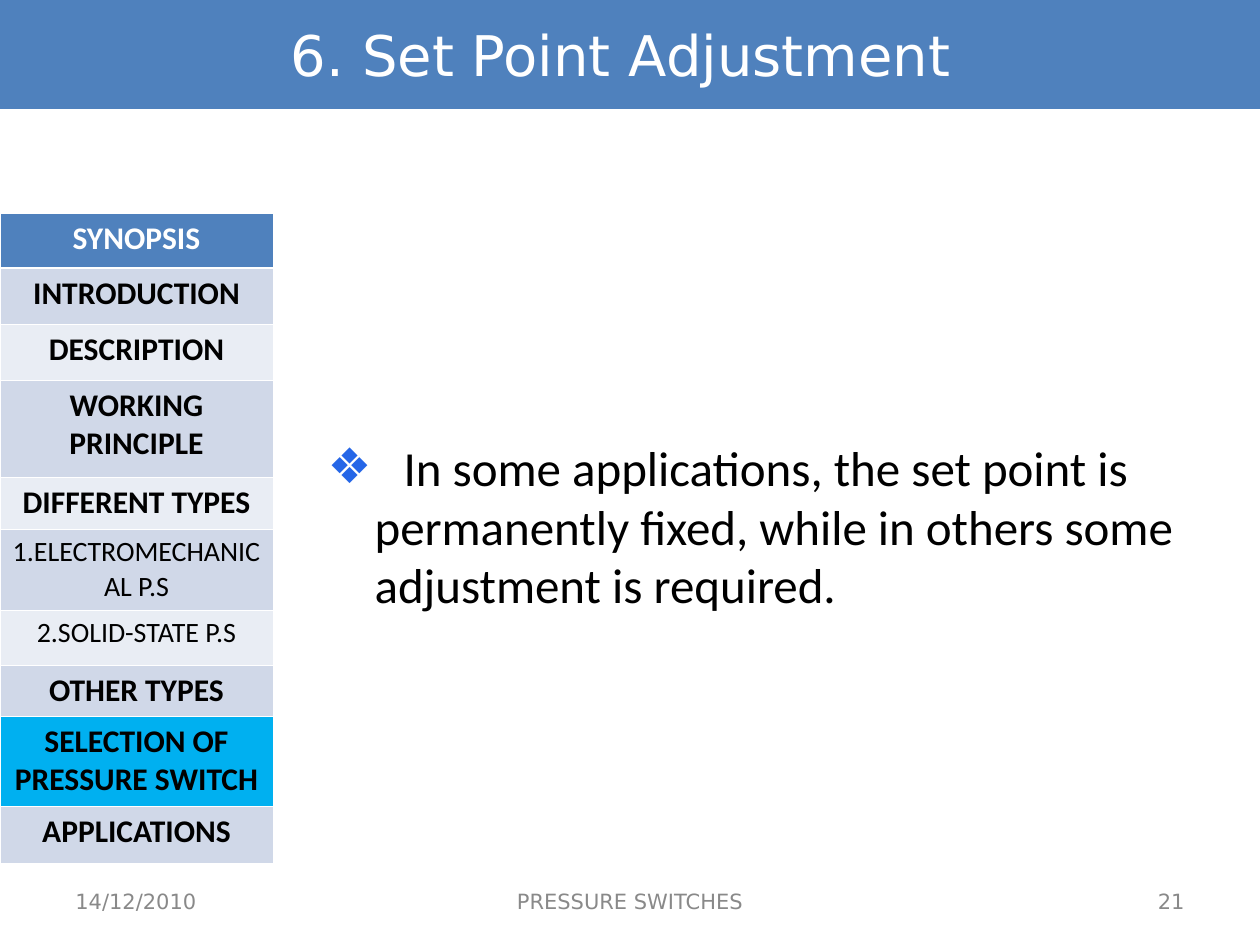
from lxml.etree import SubElement
from pptx import Presentation
from pptx.dml.color import RGBColor
from pptx.enum.text import MSO_ANCHOR as ANCHOR, MSO_AUTO_SIZE as AUTO_SIZE, PP_ALIGN as ALIGN
from pptx.oxml.ns import qn
from pptx.util import Emu, Pt

PX = 914400 / 126
BLUE = RGBColor(0x4F, 0x81, 0xBD)
BAND_DARK = RGBColor(0xD0, 0xD8, 0xE8)
BAND_LIGHT = RGBColor(0xE9, 0xED, 0xF4)
CURRENT = RGBColor(0x00, 0xB0, 0xF0)
BULLET = RGBColor(0x25, 0x66, 0xE7)
GREY = RGBColor(0x89, 0x89, 0x89)
BLACK = RGBColor(0, 0, 0)
WHITE = RGBColor(255, 255, 255)

HEADING = dict(name="DejaVu Sans", size=Pt(32), bold=False, color=WHITE)
BODY = dict(name="Calibri", size=Pt(28), bold=False, color=BLACK)
FOOTER = dict(name="DejaVu Sans", size=Pt(12), bold=False, color=GREY)
TOPIC = dict(name="Calibri", size=Pt(18), bold=True, color=BLACK)
SUBTOPIC = {**TOPIC, "size": Pt(16), "bold": False}
MENU_HEAD = {**TOPIC, "color": WHITE}

# Menu rows: text, height in px, format
MENU = [
    ("SYNOPSIS", 55, MENU_HEAD),
    ("INTRODUCTION", 56, TOPIC),
    ("DESCRIPTION", 56, TOPIC),
    ("WORKING PRINCIPLE", 97, TOPIC),
    ("DIFFERENT TYPES", 52, TOPIC),
    ("1.ELECTROMECHANICAL P.S", 81, SUBTOPIC),
    ("2.SOLID-STATE P.S", 55, SUBTOPIC),
    ("OTHER TYPES", 51, TOPIC),
    ("SELECTION OF PRESSURE SWITCH", 90, TOPIC),
    ("APPLICATIONS", 57, TOPIC),
]
CURRENT_ROW = 8


def px(n):
    return Emu(round(n * PX))


def write(tf, text, fmt, align=ALIGN.LEFT):
    p = tf.paragraphs[0]
    p.alignment = align
    r = p.add_run()
    r.text = text
    for key, value in fmt.items():
        if key == "color":
            r.font.color.rgb = value
        else:
            setattr(r.font, key, value)
    return p


def place(sp, box, anchor):
    sp.left, sp.top, sp.width, sp.height = map(px, box)
    tf = sp.text_frame
    tf.word_wrap = True
    tf.auto_size = AUTO_SIZE.NONE
    tf.vertical_anchor = anchor
    return tf


def add_title(slide, box):
    sp = slide.shapes.title
    sp.fill.solid()
    sp.fill.fore_color.rgb = BLUE
    write(place(sp, box, ANCHOR.MIDDLE), "6. Set Point Adjustment ", HEADING, ALIGN.CENTER)


def add_body(slide, box):
    """Fill the body with one bullet whose first line is set in by a tab."""
    tf = place(slide.placeholders[1], box, ANCHOR.TOP)
    p = write(tf, "\tIn some applications, the set point is permanently fixed, "
                  "while in others some adjustment is required.", BODY)
    p.space_before = Pt(0)
    pPr = p._p.get_or_add_pPr()
    pPr.set("marL", str(px(47)))
    pPr.set("indent", str(px(-47)))
    color = SubElement(pPr, qn("a:buClr"))
    SubElement(color, qn("a:srgbClr"), val=str(BULLET))
    SubElement(pPr, qn("a:buChar"), char="❖")
    tabs = SubElement(pPr, qn("a:tabLst"))
    SubElement(tabs, qn("a:tab"), pos=str(px(76)), algn="l")


def set_borders(cell, widths):
    tcPr = cell._tc.get_or_add_tcPr()
    for side, width in widths.items():
        ln = SubElement(tcPr, qn(f"a:ln{side}"), w=str(Pt(width)))
        fill = SubElement(ln, qn("a:solidFill"))
        SubElement(fill, qn("a:srgbClr"), val=str(WHITE))


def menu_fill(row):
    if row == 0:
        return BLUE
    if row == CURRENT_ROW:
        return CURRENT
    return BAND_DARK if row % 2 else BAND_LIGHT


def add_menu(slide, left, top, width):
    height = sum(row[1] for row in MENU)
    table = slide.shapes.add_table(len(MENU), 1, *map(px, (left, top, width, height))).table
    for i, (text, row_height, fmt) in enumerate(MENU):
        table.rows[i].height = px(row_height)
        cell = table.cell(i, 0)
        write(cell.text_frame, text, fmt, ALIGN.CENTER)
        set_borders(cell, dict(L=0.45, R=0.45, T=1.47 if i == 1 else 0.45,
                               B=1.47 if i == 0 else 0.45))
        cell.fill.solid()
        cell.fill.fore_color.rgb = menu_fill(i)


def add_footer(slide, left, top, width, height):
    side, middle = 294, 399
    parts = [
        ("14/12/2010", 0, side, ALIGN.LEFT),
        ("PRESSURE SWITCHES", (width - middle) / 2, middle, ALIGN.CENTER),
        ("21", width - side, side, ALIGN.RIGHT),
    ]
    for text, x, w, align in parts:
        sp = slide.shapes.add_textbox(0, 0, 0, 0)
        tf = place(sp, (left + x, top, w, height), ANCHOR.MIDDLE)
        write(tf, text, FOOTER, align)


def main():
    prs = Presentation()
    prs.slide_width, prs.slide_height = px(1260), px(945)
    slide = prs.slides.add_slide(prs.slide_layouts[1])
    add_body(slide, (315, 431, 892, 199))
    add_footer(slide, 63, 876, 1134, 50)
    add_menu(slide, 0, 213, 273)
    add_title(slide, (0, 0, 1260, 109))
    prs.save("out.pptx")


if __name__ == "__main__":
    main()
